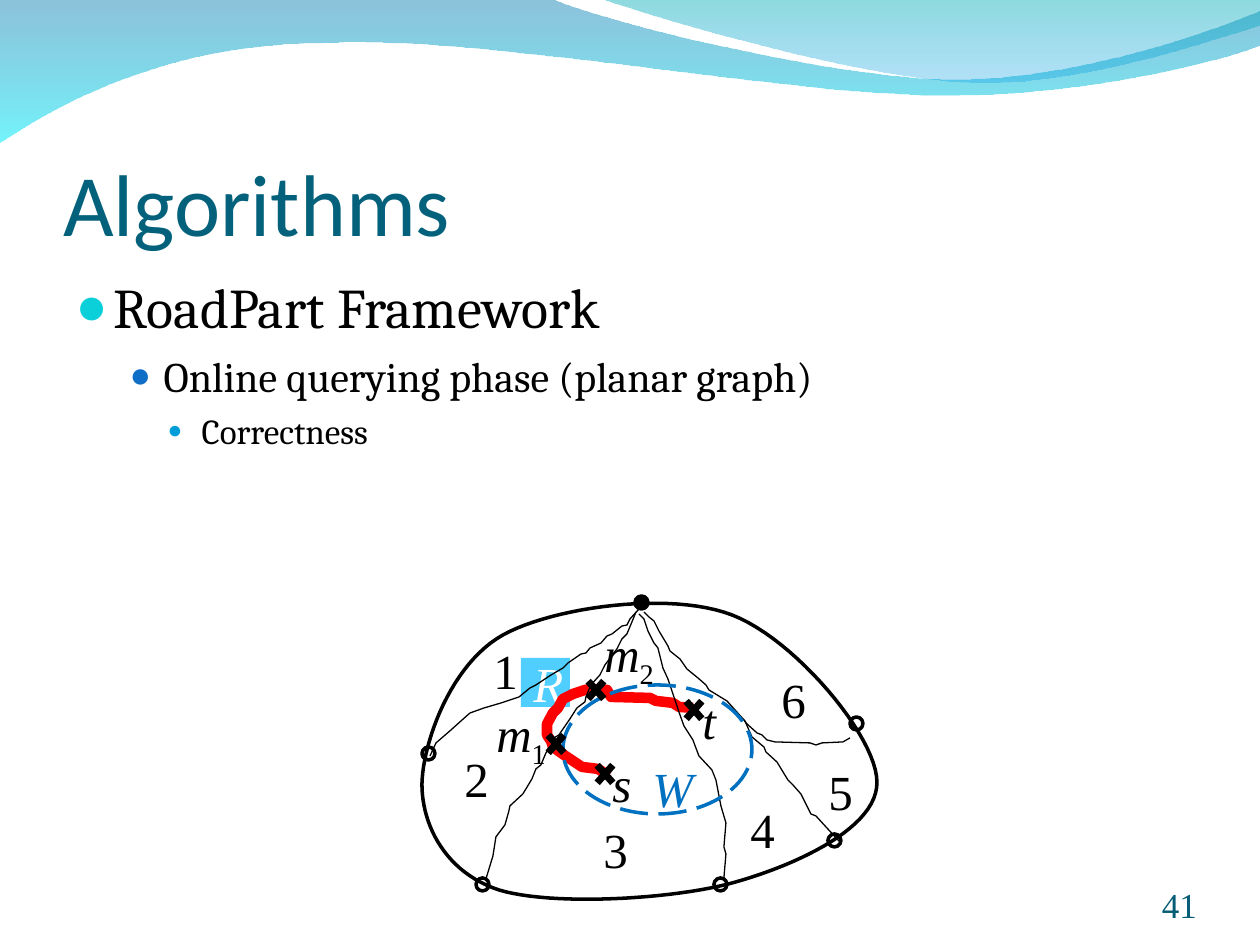
from lxml import etree
from pptx import Presentation
from pptx import util as u
from pptx.dml import color
from pptx.enum import dml, shapes, text
from pptx.oxml import ns

PX = 914400 / 126
SERIF = "Times New Roman"
KIND = shapes.MSO_SHAPE


def px(n):
    return u.Emu(round(n * PX))


def rgb(code):
    return color.RGBColor.from_string(code)


def put(obj, **vals):
    for key, val in vals.items():
        setattr(obj, key, val)


def place(obj, x, y, w, h):
    put(obj, left=px(x), top=px(y), width=px(w), height=px(h))


def sub(node, tag, **vals):
    return etree.SubElement(node, ns.qn(tag), vals)


def paint(shape, fill=None, line=None, width=2):
    shape.shadow.inherit = False
    if fill:
        shape.fill.solid()
        shape.fill.fore_color.rgb = rgb(fill)
    else:
        shape.fill.background()
    if line:
        shape.line.color.rgb = rgb(line)
        shape.line.width = u.Pt(width)
    else:
        shape.line.fill.background()
    return shape


def write(para, words, size, font, tint, **vals):
    run = para.add_run()
    run.text = words
    put(run.font, size=u.Pt(size), name=font, **vals)
    run.font.color.rgb = rgb(tint)
    return run


def margins(frame, left, top, right, bottom):
    put(frame, margin_left=px(left), margin_top=px(top),
        margin_right=px(right), margin_bottom=px(bottom))


def bend(start, *curves, steps=24):
    """Points along a chain of cubic curves, each given as two handles and an end."""
    pts = [start]
    for b, c, d in curves:
        a = pts[-1]
        for i in range(1, steps + 1):
            t = i / steps
            s = 1 - t
            pts.append(tuple(s**3 * a[k] + 3 * s * s * t * b[k] + 3 * s * t * t * c[k] + t**3 * d[k]
                             for k in (0, 1)))
    return pts


def trace(slide, pts, x=0, y=0, close=False):
    emu = [(px(x + a), px(y + b)) for a, b in pts]
    pen = slide.shapes.build_freeform(*emu[0])
    pen.add_line_segments(emu[1:], close=close)
    return pen.convert_to_shape()


# Header waves: outline and gradient stops (colour, opacity in percent)
UPPER = bend((554, 0), ((600, 21), (837, 79), (955, 79)), ((1075, 79), (1207, 33), (1260, 11)))
LOWER = bend((1260, 45), ((1239, 55), (1096, 96), (940, 95)), ((784, 95), (481, 35), (324, 43)),
             ((163, 44), (58, 105), (0, 142)))
INNER = bend((604, 0), ((641, 14), (859, 78), (969, 82)), ((1079, 87), (1211, 40), (1260, 26)))
WAVES = [
    ([(0, 0)] + UPPER + LOWER, [("0079AF", 45), ("00EBF8", 55)]),
    (INNER + [(1260, 0)], [("00ADB6", 45), ("009BE5", 30)]),
]


def waves(slide):
    for at, (pts, stops) in enumerate(WAVES):
        wave = paint(trace(slide, pts, close=True))
        wave.fill.gradient()
        wave.fill.gradient_angle = 270
        for stop, (tint, _) in zip(wave.fill.gradient_stops, stops):
            stop.color.rgb = rgb(tint)
        for node, (_, alpha) in zip(wave.element.xpath(".//a:gradFill//a:srgbClr"), stops):
            sub(node, "a:alpha", val=str(alpha * 1000))
        slide.shapes._spTree.insert(2 + at, wave.element)  # behind the text


def title(slide, box):
    head = slide.shapes.title
    place(head, *box)
    frame = head.text_frame
    margins(frame, 0, 6, 0, 0)
    put(frame, vertical_anchor=text.MSO_ANCHOR.BOTTOM, auto_size=text.MSO_AUTO_SIZE.NONE)
    para = frame.paragraphs[0]
    para.alignment = text.PP_ALIGN.LEFT
    write(para, "Algorithms", 50, "Calibri", "04617B")


# words, size, space before, indent, hang, bullet colour, bullet percent
ITEMS = [
    ("RoadPart Framework", 32, 8, 38, 38, "0BD0D9", 95),
    ("Online querying phase (planar graph)", 24, 6, 88, 34, "0F6FC6", 85),
    ("Correctness", 20, 5, 126, 34, "009DD9", 70),
]


def outline(slide, box):
    body = slide.placeholders[1]
    place(body, *box)
    frame = body.text_frame
    frame.auto_size = text.MSO_AUTO_SIZE.NONE
    for level, (words, size, gap, left, hang, tint, scale) in enumerate(ITEMS):
        para = frame.add_paragraph() if level else frame.paragraphs[0]
        put(para, level=level, space_before=u.Pt(gap))
        write(para, words, size, "Cambria", "000000")
        props = para._p.get_or_add_pPr()
        props.set("marL", str(px(left)))
        props.set("indent", str(-px(hang)))
        sub(sub(props, "a:buClr"), "a:srgbClr", val=tint)
        sub(props, "a:buSzPct", val=str(scale * 1000))
        sub(props, "a:buChar", char="●")


# Map parts, relative to the map's box
RIM = bend((2, 194), ((3, 152), (31, 74), (83, 45)), ((134, 17), (250, 1), (312, 25)),
           ((375, 49), (457, 147), (457, 192)), ((458, 237), (379, 274), (316, 292)),
           ((253, 310), (131, 316), (79, 300)), ((27, 283), (2, 237), (2, 194)))
ROUTE = [(189, 186), (178, 179), (162, 177), (144, 165), (133, 157), (131, 151), (127, 145),
         (127, 134), (133, 123), (138, 118), (143, 109), (153, 104), (165, 100), (171, 99),
         (187, 100), (191, 107), (230, 108), (236, 111), (253, 113), (259, 117), (273, 118)]
ROADS = [
    [(224, 22), (229, 27), (234, 31), (239, 41), (248, 56), (250, 61), (260, 69), (267, 79),
     (278, 88), (286, 95), (289, 100), (307, 111), (316, 121), (325, 131), (332, 147),
     (344, 157), (346, 162), (357, 172), (368, 190), (373, 195), (381, 204), (386, 214),
     (391, 224), (396, 226), (407, 238), (420, 252)],
    [(323, 129), (327, 134), (337, 143), (342, 145), (347, 150), (355, 152), (390, 153),
     (396, 155), (402, 153), (423, 152), (430, 148)],
    [(219, 24), (224, 29), (228, 41), (234, 53), (238, 58), (243, 78), (248, 89), (253, 104),
     (259, 122), (264, 136), (273, 150), (279, 166), (292, 180), (296, 190), (301, 216),
     (306, 233), (304, 257), (306, 264), (304, 288)],
    [(216, 22), (212, 32), (207, 44), (202, 49), (197, 59), (185, 75), (180, 85), (171, 95),
     (166, 107), (165, 112), (157, 118), (150, 129), (139, 145), (134, 148), (133, 153),
     (126, 163), (121, 175), (116, 179), (112, 189), (103, 204), (90, 216), (89, 221),
     (85, 235), (76, 247), (73, 266), (66, 289)],
    [(219, 19), (210, 29), (207, 35), (202, 36), (192, 44), (187, 46), (181, 53), (170, 58),
     (166, 63), (161, 64), (148, 73), (143, 78), (131, 85), (116, 95), (110, 98), (99, 107),
     (81, 113), (64, 118), (50, 123), (41, 131), (31, 140), (16, 153), (10, 166)],
]
DOTS = [(2, 157), (430, 127), (408, 244), (56, 288), (294, 288)]
MARKS = [(170, 167), (259, 103), (161, 83), (121, 137)]
AREAS = [(61, 44), (32, 152), (171, 223), (318, 203), (396, 165), (349, 73)]
# letter, subscript, left, top, width, height, colour
NAMES = [("W", "", 220, 162, 66, 72, "0070C0"), ("t", "", 270, 94, 39, 72, "000000"),
         ("s", "", 180, 157, 44, 72, "000000"), ("m", "1", 64, 107, 78, 79, "000000"),
         ("m", "2", 172, 27, 78, 79, "000000")]


def road_map(slide, box):
    x, y = box[:2]

    def add(kind, a, b, w, h, **look):
        return paint(slide.shapes.add_shape(kind, px(x + a), px(y + b), px(w), px(h)), **look)

    def label(words, a, b, w, h, tint="000000", italic=False):
        frame = slide.shapes.add_textbox(px(x + a), px(y + b), px(w), px(h)).text_frame
        put(frame, word_wrap=False, auto_size=text.MSO_AUTO_SIZE.SHAPE_TO_FIT_TEXT)
        write(frame.paragraphs[0], words, 28, SERIF, tint, italic=italic)
        return frame.paragraphs[0]

    # Region tag and route
    tag = add(KIND.RECTANGLE, 101, 68, 49, 49, fill="4FCEFF").text_frame
    tag.vertical_anchor = text.MSO_ANCHOR.MIDDLE
    tag.paragraphs[0].alignment = text.PP_ALIGN.CENTER
    write(tag.paragraphs[0], "R", 28, SERIF, "FFFFFF", italic=True)
    paint(trace(slide, ROUTE, x, y), line="FF0000", width=6)

    # Rim, its nodes and the roads
    paint(trace(slide, RIM, x, y, close=True), line="000000")
    add(KIND.OVAL, 215, 6, 13, 13, fill="000000", line="000000")
    for a, b in DOTS:
        add(KIND.OVAL, a, b, 13, 13, line="000000")
    for road in ROADS:
        paint(trace(slide, road, x, y), line="000000", width=0.75)

    # Window, marks and labels
    ring = add(KIND.OVAL, 143, 95, 189, 129, line="0070C0")
    ring.line.dash_style = dml.MSO_LINE.LONG_DASH
    for a, b in MARKS:
        add(KIND.MATH_MULTIPLY, a, b, 30, 34, fill="000000")
    for num, (a, b) in enumerate(AREAS, 1):
        label(str(num), a, b, 49, 72)
    for name, low, a, b, w, h, tint in NAMES:
        para = label(name, a, b, w, h, tint, italic=True)
        if low:
            run = write(para, low, 28, SERIF, tint, italic=False)
            run.font._element.set("baseline", "-25000")


def number(slide, box):
    frame = slide.shapes.add_textbox(*map(px, box)).text_frame
    margins(frame, 0, 0, 0, 0)
    put(frame, word_wrap=True, vertical_anchor=text.MSO_ANCHOR.BOTTOM)
    frame.paragraphs[0].alignment = text.PP_ALIGN.RIGHT
    write(frame.paragraphs[0], "41", 20, SERIF, "045C75")


def main():
    deck = Presentation()
    put(deck, slide_width=px(1260), slide_height=px(945))
    slide = deck.slides.add_slide(deck.slide_layouts[1])
    waves(slide)
    title(slide, (63, 97, 1134, 157))
    outline(slide, (63, 266, 1087, 643))
    number(slide, (1092, 876, 105, 50))
    road_map(slide, (420, 590, 460, 312))
    deck.save("out.pptx")


if __name__ == "__main__":
    main()
